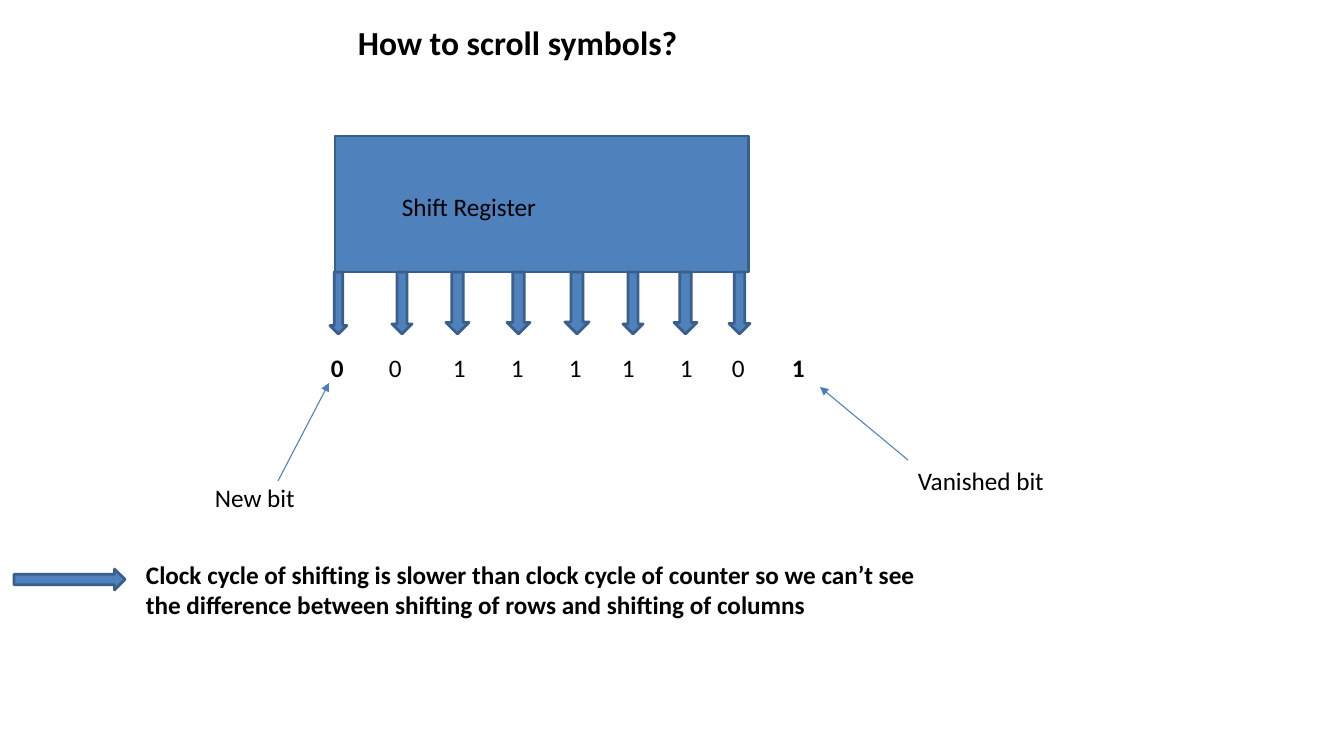
from lxml.etree import SubElement
from pptx import Presentation
from pptx.dml.color import RGBColor
from pptx.enum.shapes import MSO_CONNECTOR as Connector, MSO_SHAPE as Shape
from pptx.enum.text import MSO_AUTO_SIZE as AutoSize
from pptx.oxml.ns import qn
from pptx.util import Emu, Pt

EMU_PER_PX = 914400 / 100.8
COLORS = {"fill": "4F81BD", "outline": "3A5F8C", "pointer": "4B7EBC", "text": "000000"}
FONT = "Calibri"


def px(length):
    return Emu(round(length * EMU_PER_PX))


def color(name):
    return RGBColor.from_string(COLORS[name])


def add_text(page, left, top, width, height, text, size=18, bold=False, tabs=()):
    """Text is a string, or a list of (string, bold) spans; tabs are px stops."""
    box = page.shapes.add_textbox(px(left), px(top), px(width), px(height))
    frame = box.text_frame
    frame.word_wrap = True
    frame.auto_size = AutoSize.SHAPE_TO_FIT_TEXT
    para = frame.paragraphs[0]
    for words, heavy in [(text, bold)] if isinstance(text, str) else text:
        span = para.add_run()
        span.text = words
        span.font.name = FONT
        span.font.size = Pt(size)
        span.font.bold = heavy
        span.font.color.rgb = color("text")
    if tabs:
        stops = SubElement(para._p.get_or_add_pPr(), qn("a:tabLst"))
        for stop in tabs:
            SubElement(stops, qn("a:tab"), pos=str(px(stop)), algn="l")


def add_block(page, kind, left, top, width, height):
    block = page.shapes.add_shape(kind, px(left), px(top), px(width), px(height))
    block.shadow.inherit = False
    block.fill.solid()
    block.fill.fore_color.rgb = color("fill")
    block.line.color.rgb = color("outline")
    block.line.width = Pt(2)


def add_pointer(page, start, end):
    pointer = page.shapes.add_connector(
        Connector.STRAIGHT, *(px(length) for length in start + end))
    pointer.line.color.rgb = color("pointer")
    pointer.line.width = Pt(0.75)
    SubElement(pointer.line._get_or_add_ln(), qn("a:tailEnd"), type="triangle")
    SubElement(pointer._element.spPr, qn("a:effectLst"))


def add_register(page, left, top, width, height):
    add_block(page, Shape.RECTANGLE, left, top, width, height)
    # Output arrows: offset from the register's left side, and width
    outputs = [(-5, 17), (57, 20), (111, 23), (172, 23),
               (230, 24), (288, 20), (339, 23), (394, 21)]
    for offset, thickness in outputs:
        add_block(page, Shape.DOWN_ARROW, left + offset, top + height, thickness, 62)
    add_text(page, left + 57, top + 50, 295, 40, "Shift Register")


def add_bits(page, left, top, width, height):
    # One row of bits, with the new and the vanished one in bold
    spans = [("\t0", True), ("\t0\t1\t1\t1\t1\t1\t0", False), ("\t1", True)]
    add_text(page, left, top, width, height, spans,
             tabs=[12, 70, 134, 192, 250, 303, 361, 413, 473])
    # Labels of the end bits
    right = left + width
    add_pointer(page, (right + 88, top + 113), (right, top + 40))
    add_text(page, right + 88, top + 113, 167, 40, "Vanished bit")
    add_pointer(page, (left - 31, top + 134), (left + 20, top + 36))
    add_text(page, left - 104, top + 130, 170, 40, "New bit")


def add_note(page, left, top, width, height):
    arrow_width, gap = 111, 11
    indent = arrow_width + gap
    add_text(page, left + indent, top, width - indent, height,
             "Clock cycle of shifting is slower than clock cycle of counter so we "
             "can’t see the difference between shifting of rows and shifting of columns",
             bold=True)
    add_block(page, Shape.RIGHT_ARROW, left, top + 15, arrow_width, 21)


def main():
    deck = Presentation()
    deck.slide_width, deck.slide_height = px(1344), px(756)
    page = deck.slides.add_slide(deck.slide_layouts[6])
    add_register(page, 335, 136, 414, 136)
    add_text(page, 348, 17, 364, 50, "How to scroll symbols?", size=24, bold=True)
    add_bits(page, 309, 347, 511, 40)
    add_note(page, 14, 554, 934, 72)
    deck.save("out.pptx")


if __name__ == "__main__":
    main()
